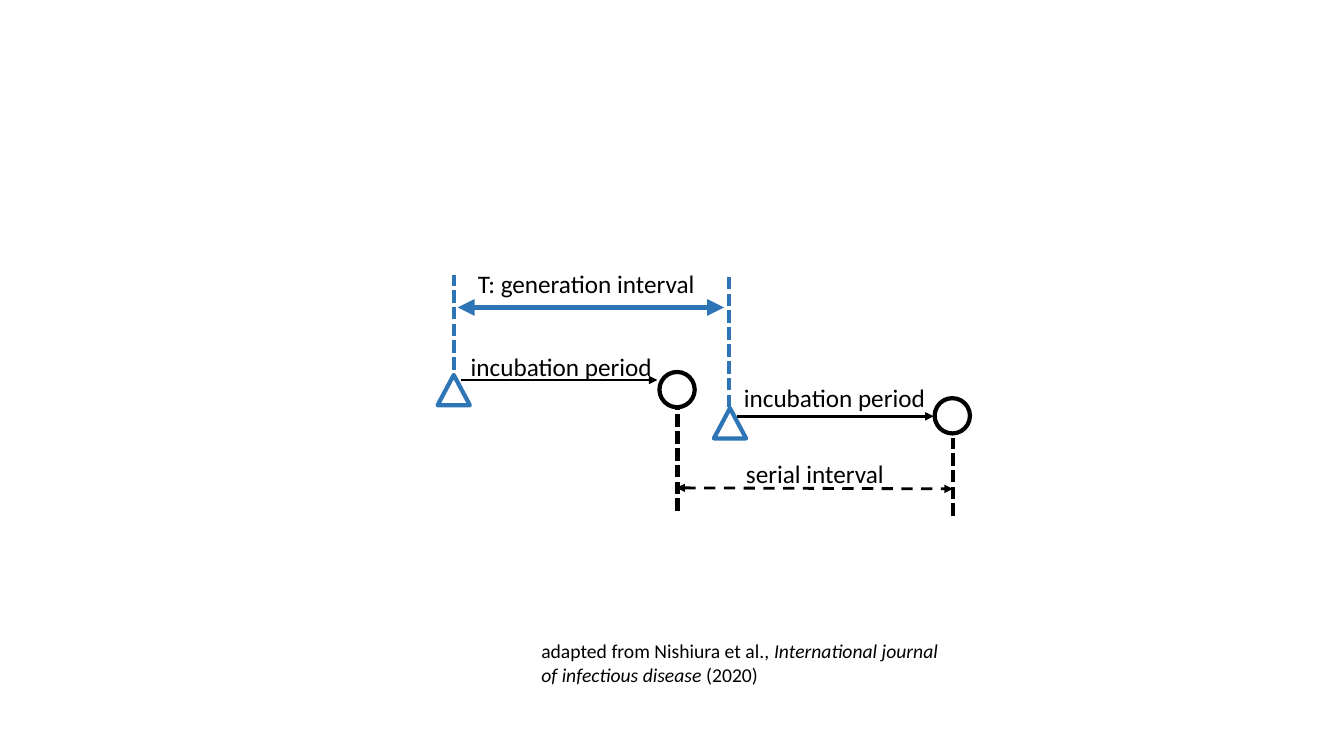
from lxml import etree
from pptx import Presentation
from pptx.dml.color import RGBColor
from pptx.enum.dml import MSO_LINE
from pptx.enum.shapes import MSO_CONNECTOR, MSO_SHAPE
from pptx.enum.text import MSO_AUTO_SIZE
from pptx.oxml.ns import qn
from pptx.util import Pt

PX = 9144  # EMU per px, 100 px to the inch
STRAIGHT = MSO_CONNECTOR.STRAIGHT
TRIANGLE, CIRCLE = MSO_SHAPE.ISOSCELES_TRIANGLE, MSO_SHAPE.OVAL
DOTTED, DASHED = MSO_LINE.SQUARE_DOT, MSO_LINE.DASH
FIT_SHAPE = MSO_AUTO_SIZE.SHAPE_TO_FIT_TEXT
COLORS = {name: RGBColor.from_string(value) for name, value in {
    "infection": "2E75B6", "onset": "000000", "text": "000000", "fill": "FFFFFF"}.items()}

presentation = Presentation()
presentation.slide_width, presentation.slide_height = 1333 * PX, 750 * PX
slide = presentation.slides.add_slide(presentation.slide_layouts[6])
diagram = slide.shapes.add_group_shape()


def add_text(shapes, box, size, paragraphs):
    """Each paragraph is a list of (text, italic) runs."""
    frame = shapes.add_textbox(*(length * PX for length in box)).text_frame
    frame.word_wrap = False
    frame.auto_size = FIT_SHAPE
    for index, runs in enumerate(paragraphs):
        paragraph = frame.paragraphs[0] if index == 0 else frame.add_paragraph()
        for text, italic in runs:
            run = paragraph.add_run()
            run.text = text
            run.font.color.rgb = COLORS["text"]
            for name, value in {"name": "Calibri", "size": Pt(size), "italic": italic}.items():
                setattr(run.font, name, value)


add_text(slide.shapes, (527, 629, 418, 57), 14, [
    [("adapted from Nishiura et al., ", False), ("International journal", True)],
    [("of infectious disease ", True), ("(2020)", False)],
])

# Start, end, colour, width, dash, arrowheads
lines = [
    ((454, 305), (718, 305), "infection", 4, None, ("headEnd", "tailEnd")),  # generation
    ((723, 404), (723, 273), "infection", 3, DOTTED, ()),
    ((450, 367), (450, 273), "infection", 3, DOTTED, ()),
    ((672, 507), (672, 404), "onset", 3, DOTTED, ()),
    ((945, 512), (945, 435), "onset", 3, DOTTED, ()),
    ((457, 377), (652, 377), "onset", 2, None, ("tailEnd",)),  # incubation
    ((731, 413), (926, 413), "onset", 2, None, ("tailEnd",)),
    ((671, 484), (945, 485), "onset", 2, DASHED, ("headEnd", "tailEnd")),  # serial
]
for start, end, color, width, dash, arrowheads in lines:
    connector = diagram.shapes.add_connector(
        STRAIGHT, *(length * PX for length in start + end))
    connector.line.color.rgb = COLORS[color]
    connector.line.width = Pt(width)
    if dash:
        connector.line.dash_style = dash
    properties = connector._element.spPr
    for arrowhead in arrowheads:
        etree.SubElement(properties.find(qn("a:ln")), qn(f"a:{arrowhead}"), type="triangle")
    etree.SubElement(properties, qn("a:effectLst"))

# Triangles mark infection, circles mark symptom onset
markers = [
    (TRIANGLE, (434, 372, 32, 30), "infection"),
    (CIRCLE, (654, 369, 35, 35), "onset"),
    (TRIANGLE, (708, 405, 32, 30), "infection"),
    (CIRCLE, (927, 395, 35, 35), "onset"),
]
for preset, box, color in markers:
    marker = diagram.shapes.add_shape(preset, *(length * PX for length in box))
    marker.shadow.inherit = False
    marker.fill.solid()
    marker.fill.fore_color.rgb = COLORS["fill"]
    marker.line.color.rgb = COLORS[color]
    marker.line.width = Pt(3)

labels = [
    ("T: generation interval", (464, 261, 238, 40)),
    ("serial interval", (730, 450, 158, 40)),
    ("incubation period", (728, 374, 203, 40)),
    ("incubation period", (457, 344, 203, 40)),
]
for label, box in labels:
    add_text(diagram.shapes, box, 18, [[(label, False)]])

presentation.save("out.pptx")
